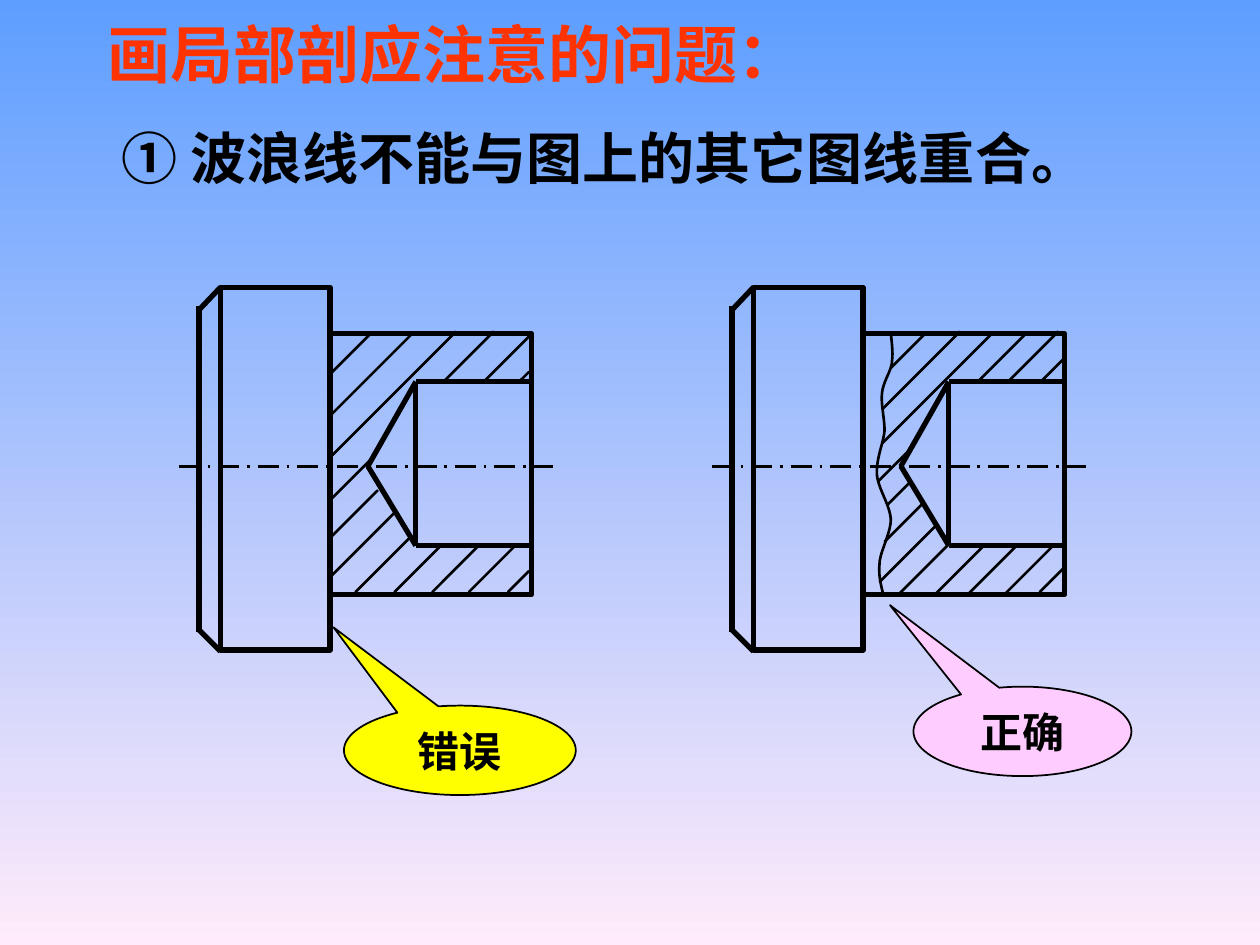
from dataclasses import dataclass

from lxml.etree import SubElement
from pptx import Presentation
from pptx.dml.color import RGBColor
from pptx.enum.dml import MSO_LINE
from pptx.enum.shapes import MSO_CONNECTOR, MSO_SHAPE
from pptx.enum.text import MSO_ANCHOR, MSO_AUTO_SIZE, PP_ALIGN
from pptx.oxml.ns import qn
from pptx.util import Inches, Pt

BLACK = RGBColor(0x00, 0x00, 0x00)
ORANGE = RGBColor(0xFF, 0x33, 0x00)
YELLOW = RGBColor(0xFF, 0xFF, 0x00)
PINK = RGBColor(0xFF, 0xCC, 0xFF)
SKY = RGBColor(0x5E, 0x9E, 0xFF)
BLUSH = RGBColor(0xFF, 0xEB, 0xFA)
LATIN_FONT = "Times New Roman"
CHINESE_FONT = "Noto Sans CJK SC"
THICK, THIN, HAIR = 3, 1.5, 1
AXIS_Y = 3.7

Point = tuple[float, float]


@dataclass(frozen=True)
class Hatch:
    left: float
    bottom: float
    run: float


@dataclass(frozen=True)
class Callout:
    text: str
    box: tuple[float, float, float, float]
    tip: Point
    fill: RGBColor


@dataclass(frozen=True)
class PartView:
    left: float
    hatches: list[Hatch]
    wave: list[Point]


FLANGE = (0.33, 2.28, 0.87, 2.88)
SHANK = (1.2, 2.65, 1.6, 2.07)
EDGES = [
    ((0.33, 2.28), (0.15, 2.47)),
    ((0.33, 5.17), (0.16, 5)),
    ((0.16, 5.02), (0.16, 2.43)),
    ((1.88, 3.03), (2.81, 3.03)),
    ((1.88, 4.33), (2.81, 4.33)),
    ((1.88, 3.03), (1.88, 4.33)),
    ((1.88, 3.03), (1.5, AXIS_Y)),
    ((1.5, AXIS_Y), (1.88, 4.33)),
]

WRONG_VIEW = PartView(1.42, [
    Hatch(2.62, 2.97, 0.33), Hatch(2.62, 3.3, 0.66), Hatch(2.62, 3.63, 1),
    Hatch(2.62, 3.97, 0.32), Hatch(3.53, 3.02, 0.39), Hatch(3.85, 3.02, 0.35),
    Hatch(4.13, 3.02, 0.07), Hatch(2.62, 4.27, 0.38), Hatch(2.62, 4.58, 0.51),
    Hatch(2.82, 4.7, 0.43), Hatch(3.13, 4.7, 0.38), Hatch(3.43, 4.7, 0.38),
    Hatch(3.72, 4.7, 0.38), Hatch(4.03, 4.7, 0.17),
], [])
RIGHT_VIEW = PartView(5.65, [
    Hatch(7.07, 2.92, 0.28), Hatch(7, 3.25, 0.62), Hatch(7, 3.52, 0.87),
    Hatch(6.97, 3.82, 0.25), Hatch(7.77, 3.02, 0.38), Hatch(8, 3.03, 0.4),
    Hatch(8.27, 3.02, 0.18), Hatch(7.04, 4.01, 0.18), Hatch(7.02, 4.3, 0.3),
    Hatch(6.98, 4.62, 0.45), Hatch(7.13, 4.72, 0.4), Hatch(7.42, 4.72, 0.38),
    Hatch(7.68, 4.72, 0.4), Hatch(7.97, 4.72, 0.4), Hatch(8.25, 4.7, 0.2),
], [
    (7.07, 2.63), (7.07, 2.67), (7.09, 2.78), (7.08, 2.86), (7.08, 2.94),
    (7.01, 3.02), (7, 3.12), (6.99, 3.21), (7.02, 3.31), (7.02, 3.42),
    (7.01, 3.52), (6.95, 3.65), (6.96, 3.77), (6.97, 3.88), (7.06, 4),
    (7.07, 4.12), (7.07, 4.24), (6.98, 4.38), (6.98, 4.48), (6.97, 4.58),
    (7, 4.67), (7.01, 4.72),
])
CALLOUTS = [
    Callout("错误", (2.73, 5.6, 1.84, 0.71), (-0.545, -1.375), YELLOW),
    Callout("正确", (7.25, 5.45, 1.73, 0.71), (-0.608, -1.412), PINK),
]


def write_text(shape, text: str, *, size: float, color: RGBColor = BLACK,
               font: str = LATIN_FONT, align=PP_ALIGN.LEFT,
               anchor=MSO_ANCHOR.TOP, wrap: bool = True) -> None:
    frame = shape.text_frame
    frame.word_wrap = wrap
    frame.auto_size = MSO_AUTO_SIZE.SHAPE_TO_FIT_TEXT
    frame.vertical_anchor = anchor
    paragraph = frame.paragraphs[0]
    paragraph.alignment = align
    run = paragraph.add_run()
    run.text = text
    run.font.size = Pt(size)
    run.font.bold = True
    run.font.color.rgb = color
    run.font.name = font
    SubElement(run._r.get_or_add_rPr(), qn("a:ea")).set("typeface", CHINESE_FONT)


def style_line(shape, width: float) -> None:
    shape.line.color.rgb = BLACK
    shape.line.width = Pt(width)


def add_line(shapes, start: Point, end: Point, width: float):
    ends = [Inches(value) for value in (*start, *end)]
    line = shapes.add_connector(MSO_CONNECTOR.STRAIGHT, *ends)
    style_line(line, width)
    SubElement(line._element.spPr, qn("a:effectLst"))
    return line


def add_box(shapes, left: float, top: float, width: float, height: float) -> None:
    box = shapes.add_shape(MSO_SHAPE.RECTANGLE, *map(Inches, (left, top, width, height)))
    box.shadow.inherit = False
    box.fill.background()
    style_line(box, THICK)


def curve_points(controls: list[Point], steps: int = 10) -> list[Point]:
    points = [controls[0]]
    for index in range(0, len(controls) - 1, 3):
        segment = controls[index:index + 4]
        for step in range(1, steps + 1):
            t = step / steps
            weights = ((1 - t) ** 3, 3 * t * (1 - t) ** 2, 3 * t ** 2 * (1 - t), t ** 3)
            points.append(tuple(sum(weight * point[axis] for weight, point in zip(weights, segment))
                                for axis in (0, 1)))
    return points


def add_wave(shapes, controls: list[Point]) -> None:
    first, *rest = [(Inches(x), Inches(y)) for x, y in curve_points(controls)]
    builder = shapes.build_freeform(*first)
    builder.add_line_segments(rest, close=False)
    wave = builder.convert_to_shape()
    wave.shadow.inherit = False
    wave.fill.background()
    style_line(wave, THIN)


def add_part(slide, view: PartView) -> None:
    shapes = slide.shapes.add_group_shape().shapes
    axis = add_line(shapes, (view.left, AXIS_Y), (view.left + 2.97, AXIS_Y), THIN)
    axis.line.dash_style = MSO_LINE.LONG_DASH_DOT
    for left, *rest in (FLANGE, SHANK):
        add_box(shapes, view.left + left, *rest)
    for (x1, y1), (x2, y2) in EDGES:
        add_line(shapes, (view.left + x1, y1), (view.left + x2, y2), THICK)
    if view.wave:
        add_wave(shapes, view.wave)
    for hatch in view.hatches:
        add_line(shapes, (hatch.left, hatch.bottom),
                 (hatch.left + hatch.run, hatch.bottom - hatch.run), THIN)


def add_callout(slide, callout: Callout) -> None:
    shape = slide.shapes.add_shape(MSO_SHAPE.OVAL_CALLOUT, *map(Inches, callout.box))
    shape.adjustments[0], shape.adjustments[1] = callout.tip
    shape.shadow.inherit = False
    shape.fill.solid()
    shape.fill.fore_color.rgb = callout.fill
    style_line(shape, HAIR)
    write_text(shape, callout.text, size=24, align=PP_ALIGN.CENTER, anchor=MSO_ANCHOR.MIDDLE)


def paint_background(slide) -> None:
    fill = slide.background.fill
    fill.gradient()
    fill.gradient_angle = 270
    for stop, position, color in zip(fill.gradient_stops, (0, 1), (SKY, BLUSH)):
        stop.position = position
        stop.color.rgb = color


def main() -> None:
    presentation = Presentation()
    presentation.slide_width, presentation.slide_height = Inches(10), Inches(7.5)
    slide = presentation.slides.add_slide(presentation.slide_layouts[5])
    paint_background(slide)

    title = slide.shapes.title
    title.left, title.top, title.width, title.height = map(Inches, (0.75, 0.07, 5.7, 0.7))
    write_text(title, "画局部剖应注意的问题：", size=36, color=ORANGE, wrap=False)
    rule = slide.shapes.add_textbox(*map(Inches, (0.87, 0.93, 7.86, 0.64)))
    write_text(rule, "① 波浪线不能与图上的其它图线重合。", size=32, font=CHINESE_FONT, wrap=False)

    add_part(slide, WRONG_VIEW)
    for callout in CALLOUTS:
        add_callout(slide, callout)
    add_part(slide, RIGHT_VIEW)
    presentation.save("out.pptx")


if __name__ == "__main__":
    main()
